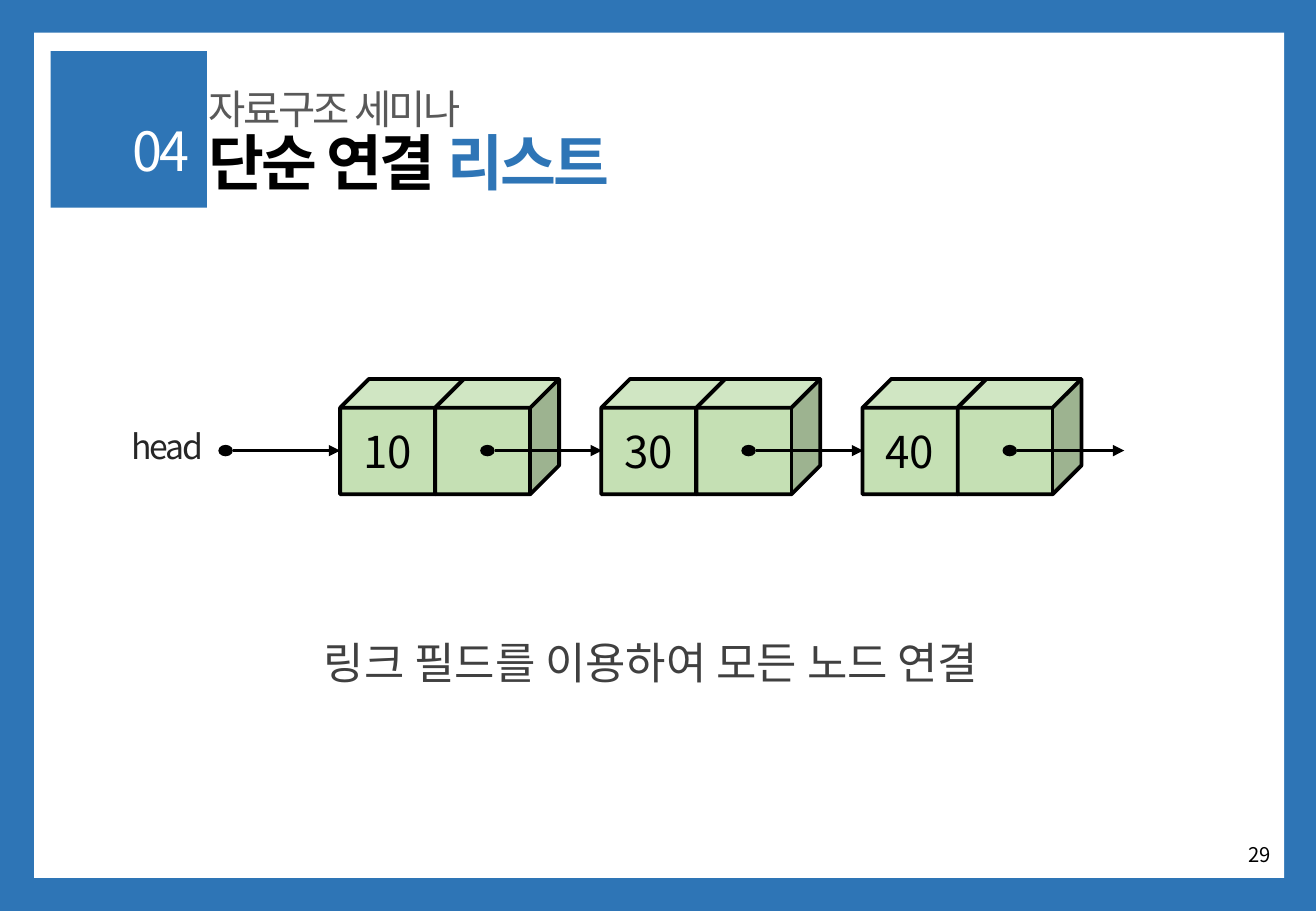
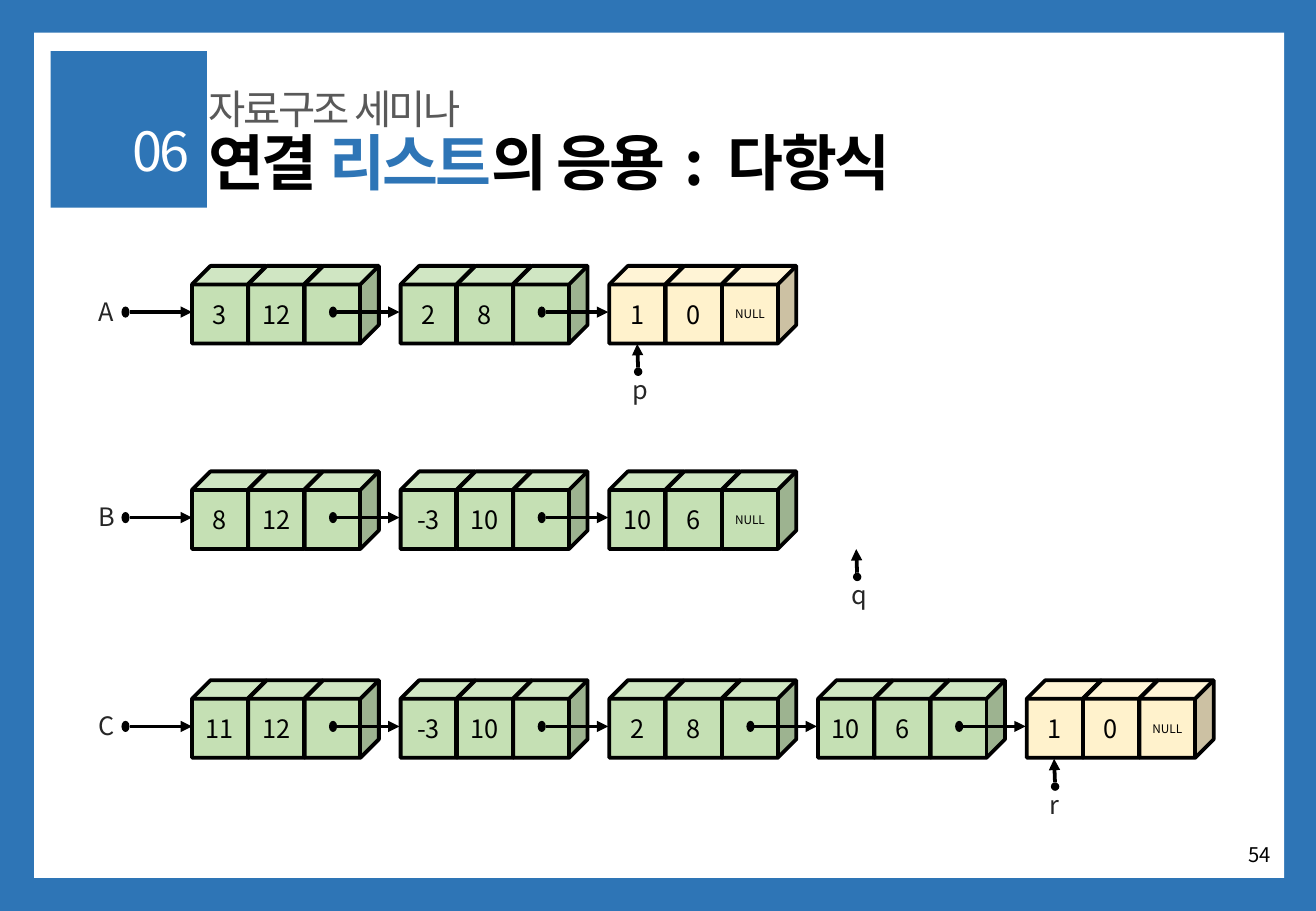
"""Build two slides on linked lists: a simple chain and polynomial addition."""
from pptx import Presentation
from pptx.dml.color import RGBColor
from pptx.enum import shapes, text
from pptx.oxml.ns import qn
from pptx.util import Pt

FONT = "Noto Sans CJK KR"
INK = {"blue": "2E75B6", "white": "FFFFFF", "black": "000000", "gray": "595959",
       "dark": "404040", "soft": "262626", "green": "C5E0B4", "cream": "FFF2CC"}
SHAPE = shapes.MSO_SHAPE
ALIGN = text.PP_ALIGN
MID = text.MSO_ANCHOR.MIDDLE

SERIES = "자료구조 세미나"
CAPTION = "링크 필드를 이용하여 모든 노드 연결"
LINK, NULL = "", "NULL"

BIG = dict(cube=(73.4, 68.4), cell=56.4, node=154.8, dot=(8.6, 6.8), inset=26.6,
           reach=63.6, mid=42.5, size=26, label=(58.3, 18, 63.4, 32), tag=20)
SMALL = dict(cube=(44, 46), cell=33.4, node=123.7, dot=(4.8, 6.6), inset=14.4,
             reach=37, mid=27.4, size=15, label=(20.9, 13, 20.2, 25), tag=15)

SLIDES = [
    dict(num="04", page="29", caption=CAPTION, style=BIG,
         title=[("단순 연결 ", "black", -1.5), ("리스트", "blue", -1.5)],
         chains=[("head", 201.6, 224.6,
                  [("10", LINK), ("30", LINK), ("40", LINK)])],
         marks=[]),
    dict(num="06", page="54", caption=None, style=SMALL,
         title=[("연결 ", "black", -1.5), ("리스트", "blue", -1.5),
                ("의 응용", "black", -1.5), (" : ", "black", 3),
                ("다항식", "black", -1.5)],
         chains=[("A", 113.8, 157.6,
                  [("3", "12", LINK), ("2", "8", LINK), ("1", "0", NULL)]),
                 ("B", 113.8, 279.4,
                  [("8", "12", LINK), ("-3", "10", LINK), ("10", "6", NULL)]),
                 ("C", 113.8, 403.2,
                  [("11", "12", LINK), ("-3", "10", LINK), ("2", "8", LINK),
                   ("10", "6", LINK), ("1", "0", NULL)])],
         marks=[("p", 378.2, 203.9), ("q", 508, 325.5), ("r", 625.3, 449.8)]),
]


def tint(name):
    return RGBColor.from_string(INK[name])


def write(frame, runs, size, bold=False, align=ALIGN.LEFT, lead=None, gap=None):
    frame.word_wrap = True
    para = frame.paragraphs[0]
    para.alignment = align
    if lead:
        para.line_spacing = lead
    if gap:
        para.space_before = Pt(gap)
    for words, color, space in runs:
        run = para.add_run()
        run.text = words
        font = run.font
        font.name, font.size, font.bold = FONT, Pt(size), bold
        font.color.rgb = tint(color)
        props = run._r.get_or_add_rPr()
        props.set("spc", str(int(space * 100)))
        east = props.makeelement(qn("a:ea"), {"typeface": FONT})
        props.find(qn("a:latin")).addnext(east)


def label(slide, box, runs, size, anchor=text.MSO_ANCHOR.TOP, **look):
    frame = slide.shapes.add_textbox(*map(Pt, box)).text_frame
    frame.vertical_anchor = anchor
    write(frame, runs, size, **look)


def block(slide, kind, box, color, edge=False):
    shape = slide.shapes.add_shape(kind, *map(Pt, box))
    shape.shadow.inherit = False
    shape.fill.solid()
    shape.fill.fore_color.rgb = tint(color)
    if edge:
        shape.line.color.rgb = tint("black")
        shape.line.width = Pt(2.25)
    else:
        shape.line.fill.background()
    return shape


def arrow(slide, *ends):
    wire = slide.shapes.add_connector(shapes.MSO_CONNECTOR.STRAIGHT, *map(Pt, ends))
    wire.line.color.rgb = tint("black")
    wire.line.width = Pt(2.25)
    line = wire.line._get_or_add_ln()
    line.append(line.makeelement(qn("a:tailEnd"), {"type": "triangle"}))
    props = wire._element.spPr
    props.append(props.makeelement(qn("a:effectLst"), {}))


def link(slide, left, mid, style):
    wide, high = style["dot"]
    block(slide, SHAPE.FLOWCHART_CONNECTOR, (left, mid - high / 2, wide, high), "black")
    arrow(slide, left + wide, mid, left + wide + style["reach"], mid)


def cell(slide, left, top, words, color, style):
    cube = block(slide, SHAPE.CUBE, (left, top, *style["cube"]), color, True)
    if words:
        frame = cube.text_frame
        frame.margin_left = frame.margin_right = 0
        frame.vertical_anchor = MID
        size = 7 if words == NULL else style["size"]
        write(frame, [(words, "black", 0)], size, align=ALIGN.CENTER)
    else:
        link(slide, left + style["inset"], top + style["mid"], style)


def chain(slide, name, left, top, nodes, style):
    mid = top + style["mid"]
    start = left - style["reach"] - style["dot"][0]
    back, rise, wide, high = style["label"]
    label(slide, (start - back, mid - rise, wide, high),
          [(name, "soft", -1.5)], style["tag"])
    link(slide, start, mid, style)
    for i, node in enumerate(nodes):
        color = "cream" if node == ("1", "0", NULL) else "green"
        for j, words in enumerate(node):
            cell(slide, left + i * style["node"] + j * style["cell"], top,
                 words, color, style)


def mark(slide, name, x, top):
    low = top + 14
    label(slide, (x - 10.5, low + 0.4, 17.3, 25), [(name, "soft", -1.5)], 15)
    block(slide, SHAPE.FLOWCHART_CONNECTOR, (x - 2.4, low, 5, 5), "black")
    arrow(slide, x, low, x - 0.5, top)


def base(slide, data):
    for box, color in [((0, 0, 780, 540), "blue"), ((20.2, 19.4, 741, 501), "white"),
                       ((30, 30.4, 92.7, 92.7), "blue")]:
        block(slide, SHAPE.RECTANGLE, box, color)
    head = dict(anchor=MID, lead=0.9, gap=10)
    label(slide, (116.6, 77, 484.6, 43.2), data["title"], 36, bold=True, **head)
    label(slide, (116.6, 54.7, 354.2, 22.3), [(SERIES, "gray", -1.5)], 24, **head)
    label(slide, (42.5, 72.7, 77, 36.7), [(data["num"], "white", -1.5)], 32,
          align=ALIGN.RIGHT, **head)
    label(slide, (584.6, 491.8, 175.7, 28.8), [(data["page"], "black", 0)], 12,
          anchor=MID, align=ALIGN.RIGHT)


deck = Presentation()
deck.slide_width, deck.slide_height = Pt(780), Pt(540)
for data in SLIDES:
    slide = deck.slides.add_slide(deck.slide_layouts[6])
    base(slide, data)
    if data["caption"]:
        label(slide, (105.8, 357.8, 560.9, 49), [(data["caption"], "dark", 0)], 26,
              align=ALIGN.CENTER, lead=1.5)
    for row in data["chains"]:
        chain(slide, *row, data["style"])
    for item in data["marks"]:
        mark(slide, *item)
deck.save("out.pptx")
